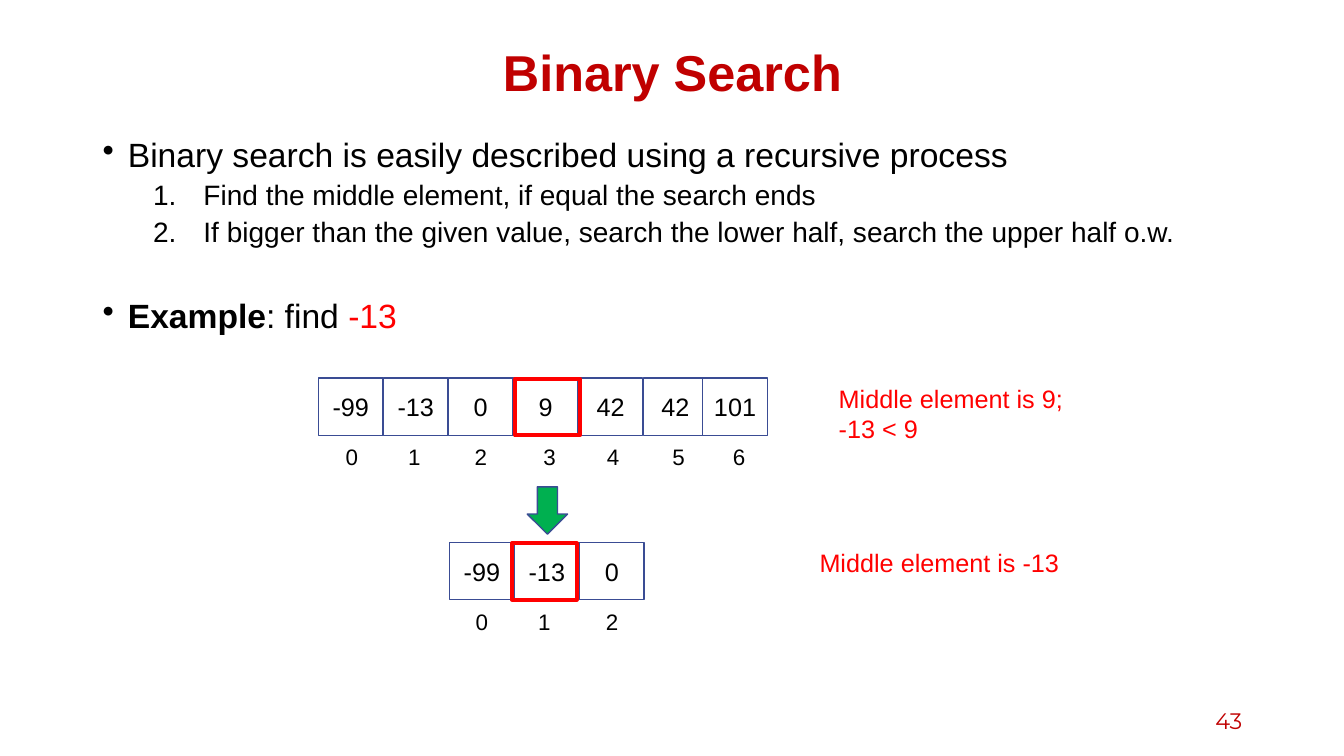
from pptx import Presentation
from pptx.dml.color import RGBColor
from pptx.enum.shapes import MSO_SHAPE
from pptx.enum.text import MSO_ANCHOR, PP_ALIGN
from pptx.oxml.ns import qn
from pptx.util import Inches, Pt
from lxml.etree import SubElement

HUES = {"title": "C00000", "text": "000000", "mark": "FF0000",
        "edge": "3A4C94", "cell": "FFFFFF", "arrow": "00B050"}

TITLE = "Binary Search"
PAGE = "43"
# Each body line: kind, space before, runs of (text, bold, colour)
BODY = [
    ("dot", 10, [("Binary search is easily described using a recursive process", False, "text")]),
    ("num", 5, [("Find the middle element, if equal the search ends", False, "text")]),
    ("num", 5, [("If bigger than the given value, search the lower half, "
                 "search the upper half o.w.", False, "text")]),
    ("dot", 36, [("Example", True, "text"), (": find ", False, "text"), ("-13", False, "mark")]),
]
# Kind: size, left margin, hanging indent, bullet tag, bullet attributes
KINDS = {
    "dot": (24, 0.25, -0.25, "a:buChar", {"char": "•"}),
    "num": (20, 1, -0.5, "a:buAutoNum", {"type": "arabicPeriod"}),
}
# Each array: left, top, values, centres of the indices, left of the red frame
ARRAYS = [
    (3.16, 3.75, ["-99", "-13", "0", "9", "42", "42", "101"],
     [3.49, 4.11, 4.77, 5.45, 6.08, 6.73, 7.33], 5.11),
    (4.46, 5.38, ["-99", "-13", "0"], [4.78, 5.4, 6.07], 5.08),
]
NOTES = [
    (8.22, 3.75, 0.71, ["Middle element is 9;", "-13 < 9"]),
    (8.03, 5.38, 0.4, ["Middle element is -13"]),
]
WIDE, HIGH, STEP = 0.64, 0.57, 0.644
LAST = 6.97  # the seventh cell overlaps its neighbour

deck = Presentation()
deck.slide_width, deck.slide_height = Inches(13.33), Inches(7.5)
slide = deck.slides.add_slide(deck.slide_layouts[6])


def hue(name):
    return RGBColor.from_string(HUES[name])


def style(para, size, color, align=PP_ALIGN.LEFT, face="Arial", bold=False):
    para.alignment = align
    font = para.font
    font.size, font.name, font.bold = Pt(size), face, bold
    font.color.rgb = hue(color)


def label(box, lines, size, color, align=PP_ALIGN.LEFT, middle=False, **look):
    area = slide.shapes.add_textbox(*map(Inches, box))
    frame = area.text_frame
    frame.word_wrap = True
    frame.vertical_anchor = MSO_ANCHOR.MIDDLE if middle else MSO_ANCHOR.TOP
    frame.text = "\n".join(lines)
    for para in frame.paragraphs:
        style(para, size, color, align, **look)
    return frame


def block(kind, box, fill, edge, width):
    shape = slide.shapes.add_shape(kind, *map(Inches, box))
    shape.shadow.inherit = False
    if fill:
        shape.fill.solid()
        shape.fill.fore_color.rgb = hue(fill)
    else:
        shape.fill.background()
    shape.line.color.rgb = hue(edge)
    shape.line.width = Pt(width)
    return shape


# Title and page number
head = label((0.92, 0.4, 11.5, 0.7), [TITLE], 36, "title", PP_ALIGN.CENTER, True, bold=True)
head.paragraphs[0].line_spacing = 0.9
label((9.42, 6.95, 3, 0.4), [PAGE], 16, "title", PP_ALIGN.RIGHT, True, face="Montserrat")

# Body list
body = label((0.92, 1.32, 11.5, 5.51), [""] * len(BODY), 24, "text")
for para, (kind, gap, runs) in zip(body.paragraphs, BODY):
    size, left, hang, tag, attrs = KINDS[kind]
    style(para, size, "text")
    para.line_spacing, para.space_before = 0.9, Pt(gap)
    props = para._p.get_or_add_pPr()
    props.set("marL", str(Inches(left)))
    props.set("indent", str(Inches(hang)))
    bullet = SubElement(props, qn(tag), attrs)
    props.find(qn("a:defRPr")).addprevious(bullet)
    for text, bold, color in runs:
        run = para.add_run()
        run.text = text
        run.font.bold = bold
        run.font.color.rgb = hue(color)

# Arrays with their indices
for left, top, values, marks, _ in ARRAYS:
    for i, (value, mid) in enumerate(zip(values, marks)):
        x = LAST if i == 6 else left + i * STEP
        cell = block(MSO_SHAPE.RECTANGLE, (x, top, WIDE, HIGH), "cell", "edge", 1)
        frame = cell.text_frame
        frame.margin_left = frame.margin_right = 0
        frame.vertical_anchor = MSO_ANCHOR.MIDDLE
        frame.text = value
        style(frame.paragraphs[0], 18, "text", PP_ALIGN.CENTER)
        label((mid - 0.2, top + 0.6, 0.4, 0.37), [str(i)], 16, "text", PP_ALIGN.CENTER)

# Arrow between the arrays
block(MSO_SHAPE.DOWN_ARROW, (5.23, 4.83, 0.4, 0.47), "arrow", "edge", 1)

# Remarks
for left, top, high, lines in NOTES:
    label((left, top, 2.98, high), lines, 18, "mark")

# Red frames around the middle elements
for _, top, _, _, left in ARRAYS:
    block(MSO_SHAPE.RECTANGLE, (left, top + 0.01, WIDE, 0.56), None, "mark", 3)

deck.save("out.pptx")
